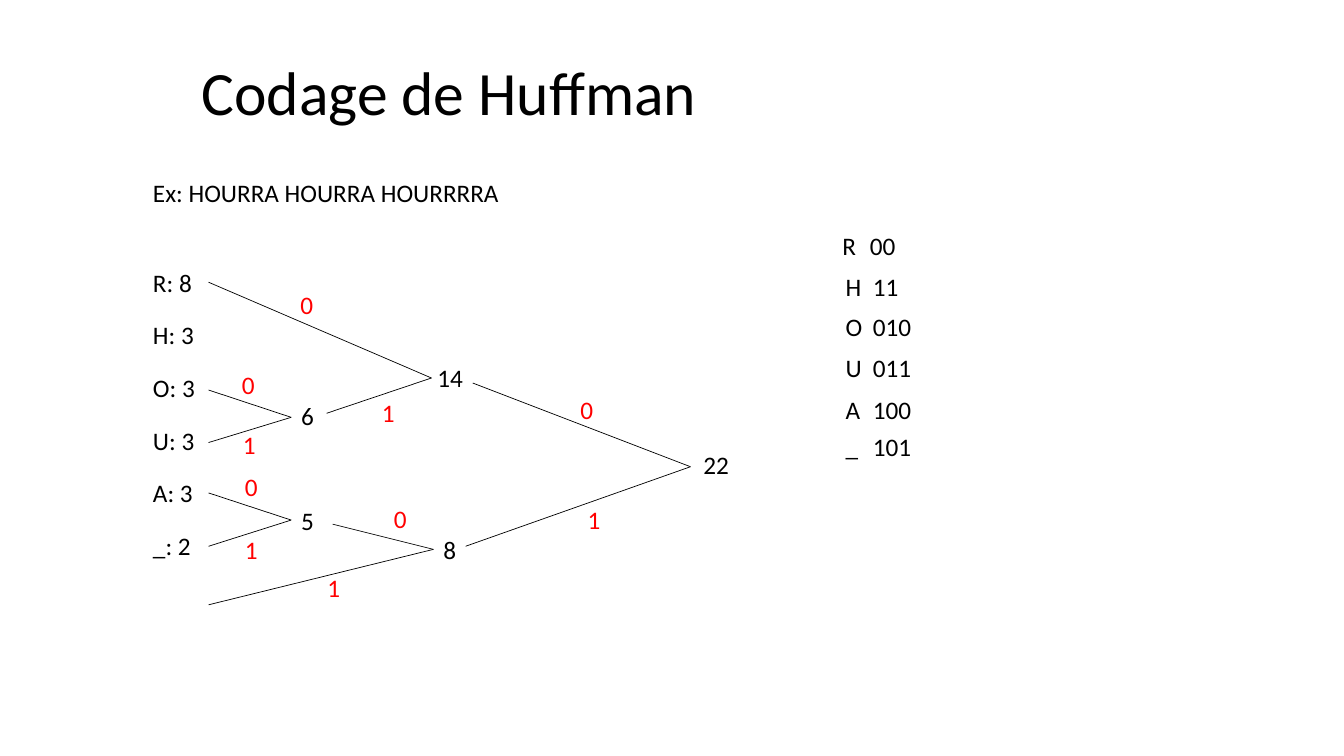
from typing import NamedTuple

from lxml.etree import SubElement
from pptx import Presentation
from pptx.dml.color import RGBColor
from pptx.enum.shapes import MSO_CONNECTOR as Connector
from pptx.enum.text import MSO_AUTO_SIZE as AutoSize
from pptx.oxml.ns import qn
from pptx.slide import Slide
from pptx.util import Pt

BLACK = RGBColor(0, 0, 0)
RED = RGBColor(255, 0, 0)
LINE_HEIGHT = 29
LEAF_LEFT = 102.2
LEAF_TOP = 187.2
LEAF_PITCH = 37.6
BRANCH_LEFT = 149
NODE_WIDTH = 46.8
BIT_WIDTH = 24
CODE_WIDTH = 115.2
CODE_TAB = 19.5


class Point(NamedTuple):
    x: float
    y: float


class Branch(NamedTuple):
    bit: str
    start: Point
    label: Point


class Merge(NamedTuple):
    total: str
    corner: Point
    tip: Point
    branches: tuple[Branch, Branch]


class Code(NamedTuple):
    symbol: str
    bits: str
    corner: Point


LEAVES = ("R: 8", "H: 3", "O: 3", "U: 3", "A: 3", "_: 2")

MERGES = (
    Merge("5", Point(208, 357.1), Point(208, 371.5), (
        Branch("0", Point(BRANCH_LEFT, 352.1), Point(167.8, 333.4)),
        Branch("1", Point(BRANCH_LEFT, 390.2), Point(167.8, 378)))),
    Merge("6", Point(208, 282.2), Point(208, 298.1), (
        Branch("0", Point(BRANCH_LEFT, 278.6), Point(165.6, 259.9)),
        Branch("1", Point(BRANCH_LEFT, 316.1), Point(166.3, 303.1)))),
    Merge("8", Point(309.6, 378), Point(309.6, 392.4), (
        Branch("0", Point(237.6, 374.4), Point(274.3, 355.7)),
        Branch("1", Point(BRANCH_LEFT, 432), Point(226.8, 405.4)))),
    Merge("14", Point(305.3, 254.9), Point(308.2, 270), (
        Branch("0", Point(BRANCH_LEFT, 201.6), Point(207.4, 203)),
        Branch("1", Point(233.3, 295.2), Point(265.7, 280.1)))),
    Merge("22", Point(495.4, 317.5), Point(493.2, 333.4), (
        Branch("0", Point(337.7, 273.6), Point(407.5, 277.9)),
        Branch("1", Point(332.6, 390.2), Point(412.6, 356.4)))),
)

CODES = (
    Code("R", "00", Point(594.7, 160.6)),
    Code("H", "11", Point(596.9, 190.1)),
    Code("O", "010", Point(596.9, 218.9)),
    Code("U", "011", Point(596.9, 248.4)),
    Code("A", "100", Point(596.9, 277.9)),
    Code("_", "101", Point(596.9, 304.6)),
)


def add_text(slide: Slide, text: str, corner: Point, width: float,
             height: float = LINE_HEIGHT, size: float = 18,
             color: RGBColor = BLACK, wrap: bool = True):
    shape = slide.shapes.add_textbox(
        Pt(corner.x), Pt(corner.y), Pt(width), Pt(height))
    frame = shape.text_frame
    frame_format = {"word_wrap": wrap, "auto_size": AutoSize.SHAPE_TO_FIT_TEXT}
    for name, value in frame_format.items():
        setattr(frame, name, value)
    paragraph = frame.paragraphs[0]
    run = paragraph.add_run()
    run.text = text
    for name, value in {"name": "Calibri", "size": Pt(size)}.items():
        setattr(run.font, name, value)
    run.font.color.rgb = color
    return paragraph


def add_line(slide: Slide, start: Point, end: Point) -> None:
    connector = slide.shapes.add_connector(
        Connector.STRAIGHT, Pt(start.x), Pt(start.y), Pt(end.x), Pt(end.y))
    connector.line.width = Pt(0.5)
    connector.line.color.rgb = BLACK
    SubElement(connector._element.spPr, qn("a:effectLst"))


def add_merge(slide: Slide, merge: Merge) -> None:
    for branch in merge.branches:
        add_line(slide, branch.start, merge.tip)
        add_text(slide, branch.bit, branch.label, BIT_WIDTH,
                 color=RED, wrap=False)
    add_text(slide, merge.total, merge.corner, NODE_WIDTH)


def add_code(slide: Slide, code: Code) -> None:
    paragraph = add_text(
        slide, f"{code.symbol}\t{code.bits}", code.corner, CODE_WIDTH)
    tabs = SubElement(paragraph._p.get_or_add_pPr(), qn("a:tabLst"))
    SubElement(tabs, qn("a:tab"), pos=str(Pt(CODE_TAB)), algn="l")


def main() -> None:
    presentation = Presentation()
    presentation.slide_width = Pt(960)
    presentation.slide_height = Pt(540)
    slide = presentation.slides.add_slide(presentation.slide_layouts[6])

    add_text(slide, "Codage de Huffman", Point(136.8, 35.3), 377.3, 60.5, 44)
    add_text(slide, "Ex: HOURRA HOURRA HOURRRRA", Point(LEAF_LEFT, 123.1), 589.7)
    for row, leaf in enumerate(LEAVES):
        corner = Point(LEAF_LEFT, LEAF_TOP + row * LEAF_PITCH)
        add_text(slide, leaf, corner, NODE_WIDTH)
    for merge in MERGES:
        add_merge(slide, merge)
    for code in CODES:
        add_code(slide, code)

    presentation.save("out.pptx")


main()
